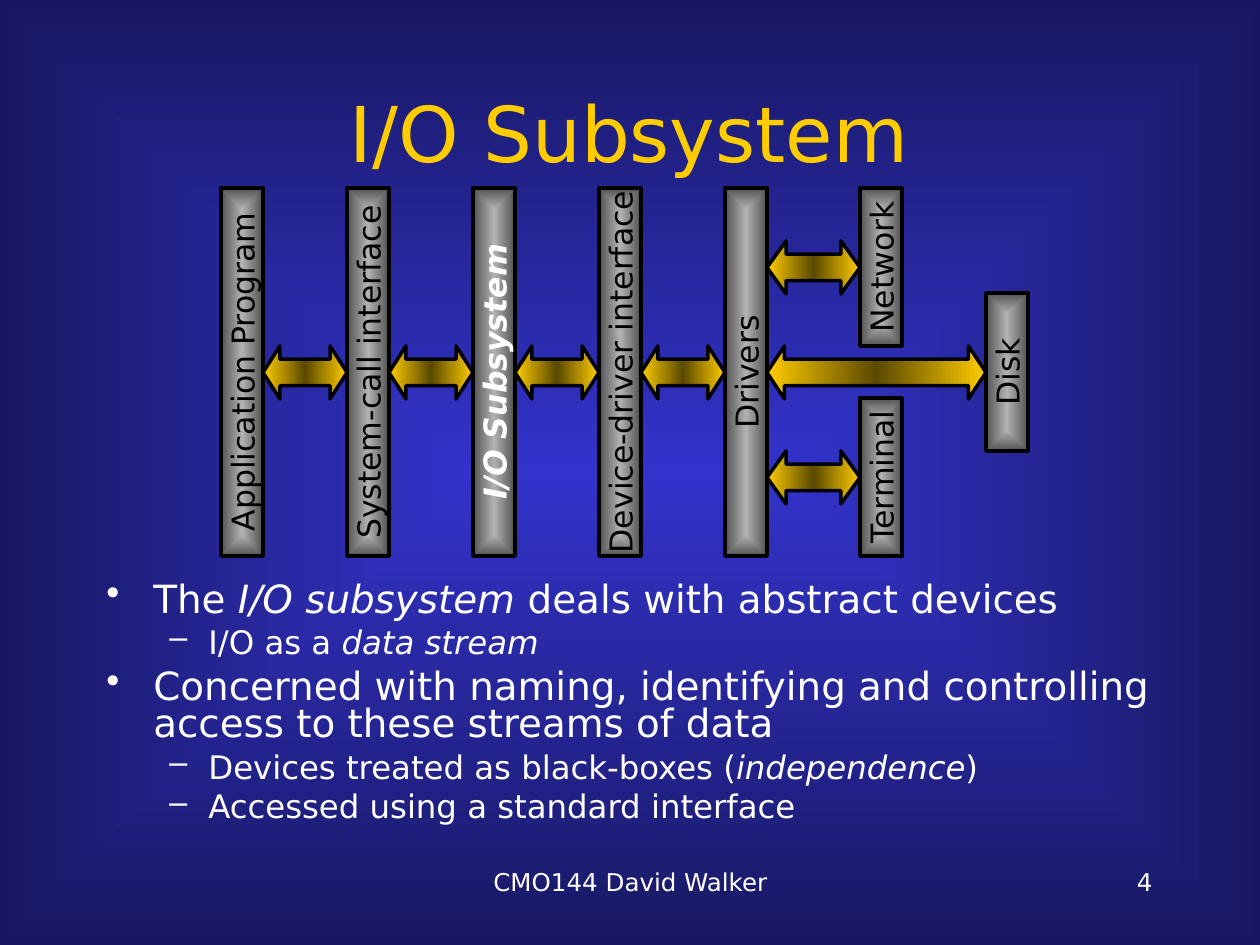
from lxml.etree import SubElement
from pptx import Presentation
from pptx.dml.color import RGBColor
from pptx.enum.shapes import MSO_SHAPE
from pptx.enum.text import MSO_ANCHOR, MSO_AUTO_SIZE, PP_ALIGN
from pptx.oxml import parse_xml
from pptx.oxml.ns import nsdecls, qn
from pptx.util import Pt

EMU_PER_PX = 914400 // 126
FONT = "DejaVu Sans"

GOLD = RGBColor(0xFF, 0xCC, 0x00)
DARK_GOLD = RGBColor(0x5B, 0x49, 0x00)
WHITE = RGBColor(0xFF, 0xFF, 0xFF)
BLACK = RGBColor(0x00, 0x00, 0x00)
LIGHT_GRAY = RGBColor(0xB2, 0xB2, 0xB2)
DARK_GRAY = RGBColor(0x52, 0x52, 0x52)
BLUE = RGBColor(0x33, 0x33, 0xCC)
NAVY = RGBColor(0x18, 0x18, 0x62)

FROM_CENTER = (
    '<a:path path="rect"><a:fillToRect l="50000" t="50000" r="50000" b="50000"/></a:path>'
)
HORIZONTAL = '<a:lin ang="10800000" scaled="0"/>'

# Diagram grid
MIDDLE_Y = 372
DEVICE_OFFSET = 105
FIRST_BAR_X = 242
BAR_STEP = 126
BAR_THICKNESS = 42
LAYER_LENGTH = 368
DEVICE_LENGTH = 158
ARROW_HEIGHT = 53

LAYERS = [
    "Application Program",
    "System-call interface",
    "I/O Subsystem",
    "Device-driver interface",
    "Drivers",
]
HIGHLIGHTED = "I/O Subsystem"
# name, centre x, centre y, arrowhead adjustment
DEVICES = [
    ("Terminal", 881, MIDDLE_Y + DEVICE_OFFSET, 0.36),
    ("Disk", 1007, MIDDLE_Y, 0.33),
    ("Network", 881, MIDDLE_Y - DEVICE_OFFSET, 0.36),
]

# Each bullet: level, then (text, italic) runs
BULLETS = [
    (0, [("The ", False), ("I/O subsystem", True), (" deals with abstract devices", False)]),
    (1, [("I/O as a ", False), ("data stream", True)]),
    (0, [("Concerned with naming, identifying and controlling access "
          "to these streams of data", False)]),
    (1, [("Devices treated as black-boxes (", False), ("independence", True), (")", False)]),
    (1, [("Accessed using a standard interface", False)]),
]
BULLET_LEVELS = [
    {"mark": "•", "margin": 47, "indent": -47, "size": 22.2, "space": 6},
    {"mark": "–", "margin": 102, "indent": -39, "size": 18.5, "space": 5},
]


def px(length):
    return length * EMU_PER_PX


def set_gradient(fill, properties, colors, direction):
    """Give evenly spaced colours to the element that holds the fill."""
    fill.solid()
    last = len(colors) - 1
    stops = "".join(
        f'<a:gs pos="{100000 * index // last}"><a:srgbClr val="{color}"/></a:gs>'
        for index, color in enumerate(colors)
    )
    gradient = parse_xml(
        f'<a:gradFill {nsdecls("a")} rotWithShape="1">'
        f"<a:gsLst>{stops}</a:gsLst>{direction}</a:gradFill>"
    )
    properties.replace(properties.find(qn("a:solidFill")), gradient)


def add_run(paragraph, text, size, color, **formats):
    run = paragraph.add_run()
    run.text = text
    run.font.color.rgb = color
    for name, value in {"name": FONT, "size": Pt(size), **formats}.items():
        setattr(run.font, name, value)


def add_outlined_shape(slide, kind, box, colors, direction):
    shape = slide.shapes.add_shape(kind, *map(px, box))
    shape.shadow.inherit = False
    set_gradient(shape.fill, shape._element.spPr, colors, direction)
    shape.line.color.rgb = BLACK
    shape.line.width = Pt(2)
    return shape


def add_bar(slide, text, center_x, center_y, length):
    """Add a bar turned a quarter so that its label reads upwards."""
    box = (center_x - length // 2, center_y - BAR_THICKNESS // 2, length, BAR_THICKNESS)
    bar = add_outlined_shape(
        slide, MSO_SHAPE.RECTANGLE, box, [LIGHT_GRAY, DARK_GRAY], FROM_CENTER
    )
    bar.rotation = 270
    frame = bar.text_frame
    frame.word_wrap = False
    frame.vertical_anchor = MSO_ANCHOR.MIDDLE
    paragraph = frame.paragraphs[0]
    paragraph.alignment = PP_ALIGN.CENTER
    strong = text == HIGHLIGHTED
    add_run(paragraph, text, 18, WHITE if strong else BLACK, bold=strong, italic=strong)


def add_arrow(slide, from_bar_x, to_bar_x, center_y, head):
    """Fill the gap between two bars with a double arrow."""
    left = from_bar_x + BAR_THICKNESS // 2
    width = to_bar_x - from_bar_x - BAR_THICKNESS
    box = (left, center_y - ARROW_HEIGHT // 2, width, ARROW_HEIGHT)
    arrow = add_outlined_shape(
        slide, MSO_SHAPE.LEFT_RIGHT_ARROW, box, [GOLD, DARK_GOLD, GOLD], HORIZONTAL
    )
    arrow.adjustments[0] = 0.5
    arrow.adjustments[1] = head


def add_diagram(slide):
    layer_xs = [FIRST_BAR_X + index * BAR_STEP for index in range(len(LAYERS))]
    for name, center_x in zip(LAYERS, layer_xs):
        add_bar(slide, name, center_x, MIDDLE_Y, LAYER_LENGTH)
    for name, center_x, center_y, _ in DEVICES:
        add_bar(slide, name, center_x, center_y, DEVICE_LENGTH)
    for from_x, to_x in zip(layer_xs, layer_xs[1:]):
        add_arrow(slide, from_x, to_x, MIDDLE_Y, 0.32)
    for _, center_x, center_y, head in DEVICES:
        add_arrow(slide, layer_xs[-1], center_x, center_y, head)


def add_text_frame(slide, box):
    frame = slide.shapes.add_textbox(*map(px, box)).text_frame
    frame.word_wrap = True
    return frame


def format_bullet(paragraph, level):
    style = BULLET_LEVELS[level]
    formats = {"level": level, "line_spacing": 0.8, "space_before": Pt(style["space"])}
    for name, value in formats.items():
        setattr(paragraph, name, value)
    properties = paragraph._p.get_or_add_pPr()
    properties.set("marL", str(px(style["margin"])))
    properties.set("indent", str(px(style["indent"])))
    SubElement(properties, qn("a:buChar")).set("char", style["mark"])


def add_bullets(slide):
    frame = add_text_frame(slide, (94, 577, 1071, 262))
    for index, (level, runs) in enumerate(BULLETS):
        paragraph = frame.add_paragraph() if index else frame.paragraphs[0]
        format_bullet(paragraph, level)
        for text, italic in runs:
            add_run(paragraph, text, BULLET_LEVELS[level]["size"], WHITE, italic=italic)


def add_footer(slide, text, box, alignment):
    paragraph = add_text_frame(slide, box).paragraphs[0]
    paragraph.alignment = alignment
    add_run(paragraph, text, 14, WHITE)


def set_title(slide, text):
    title = slide.shapes.title
    title.left, title.top, title.width, title.height = map(px, (94, 53, 1071, 157))
    frame = title.text_frame
    frame.auto_size = MSO_AUTO_SIZE.NONE
    frame.vertical_anchor = MSO_ANCHOR.MIDDLE
    paragraph = frame.paragraphs[0]
    paragraph.alignment = PP_ALIGN.CENTER
    add_run(paragraph, text, 44, GOLD)


def main():
    presentation = Presentation()
    presentation.slide_width, presentation.slide_height = px(1260), px(945)
    slide = presentation.slides.add_slide(presentation.slide_layouts[5])
    fill = slide.background.fill
    fill.solid()
    background = slide._element.find(".//" + qn("p:bgPr"))
    set_gradient(fill, background, [BLUE, NAVY], FROM_CENTER)
    set_title(slide, "I/O Subsystem")
    add_bullets(slide)
    add_diagram(slide)
    add_footer(slide, "CMO144 David Walker", (431, 861, 399, 63), PP_ALIGN.CENTER)
    add_footer(slide, "4", (903, 861, 262, 63), PP_ALIGN.RIGHT)
    presentation.save("out.pptx")


if __name__ == "__main__":
    main()
